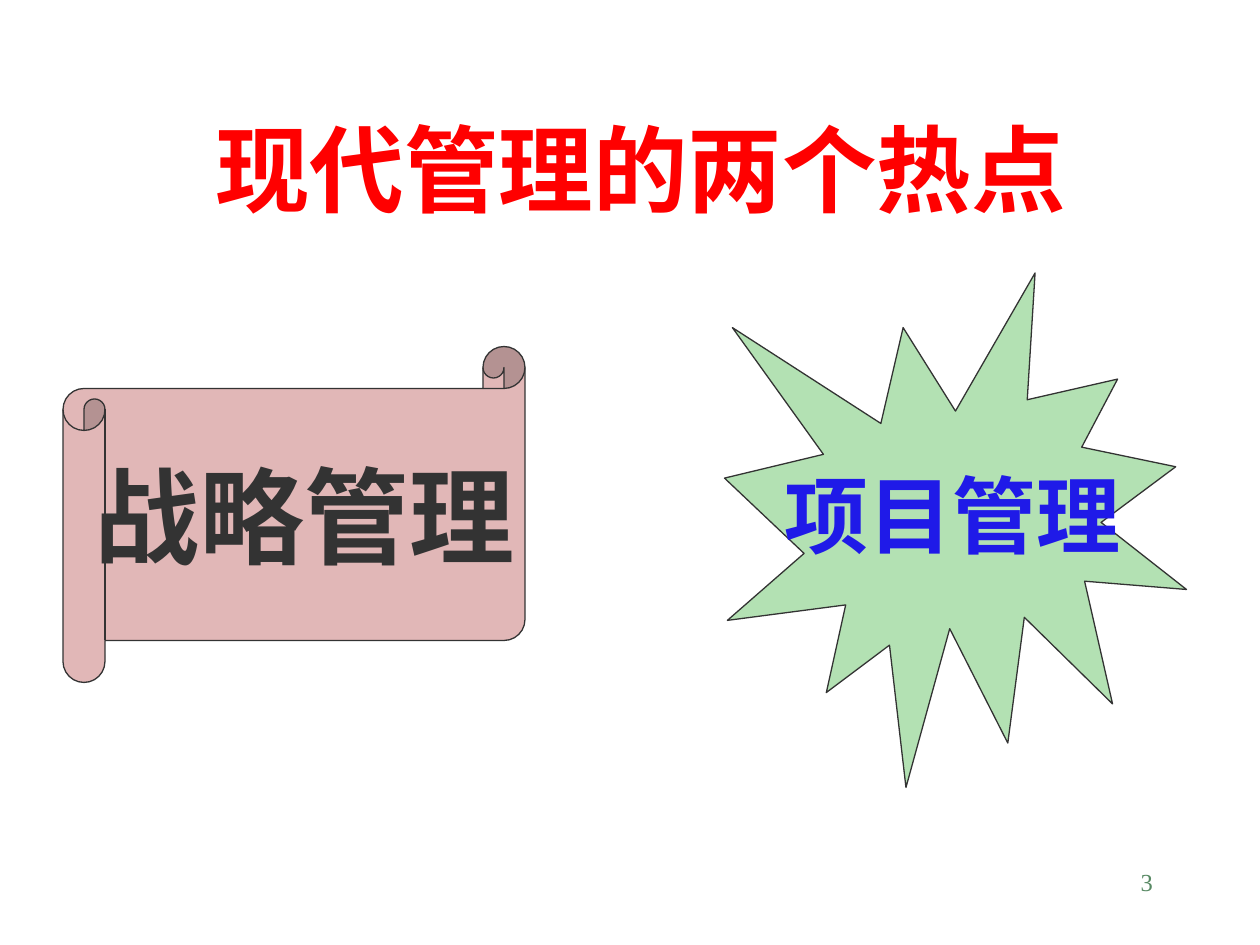
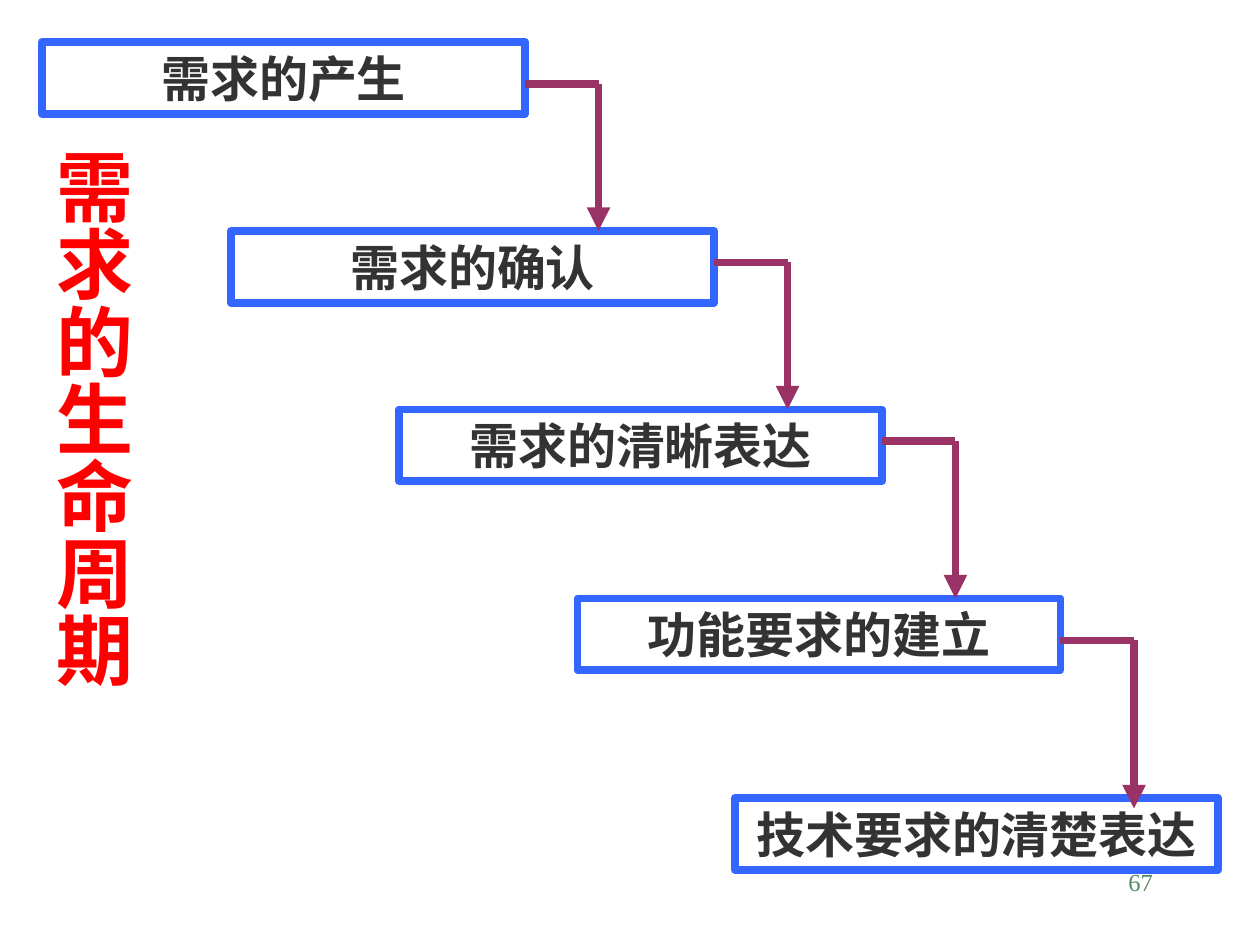
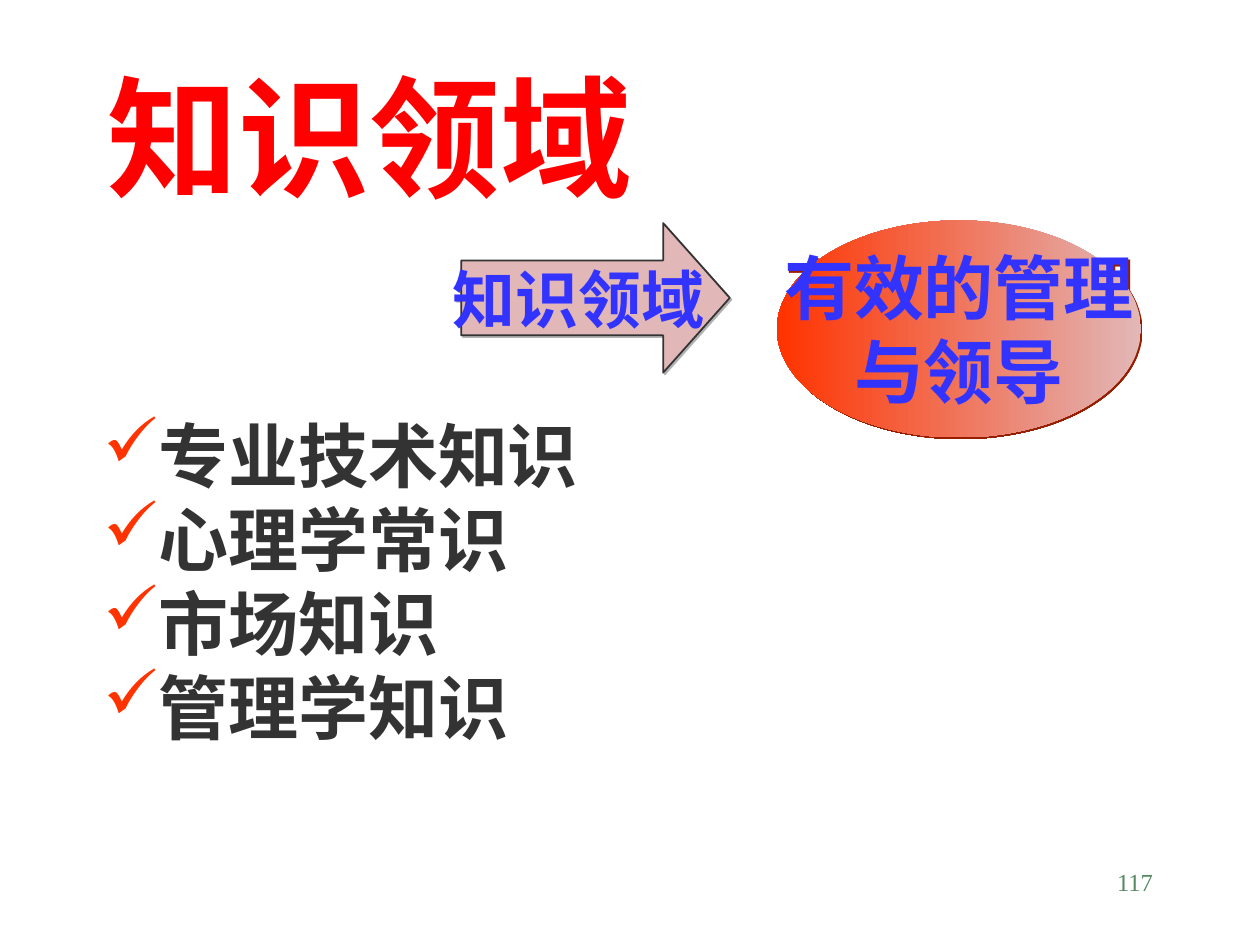
from dataclasses import dataclass

from lxml.etree import SubElement
from pptx import Presentation
from pptx.dml.color import RGBColor
from pptx.enum.shapes import MSO_CONNECTOR, MSO_SHAPE
from pptx.enum.text import MSO_ANCHOR, MSO_AUTO_SIZE, PP_ALIGN
from pptx.oxml.ns import qn
from pptx.util import Pt


@dataclass(frozen=True)
class Theme:
    font: str = "Times New Roman"
    title: str = "FF0000"
    ink: str = "333333"
    page_number: str = "578963"
    rose: str = "E1B7B7"
    mint: str = "B3E1B3"
    project_text: str = "1F1AE8"
    highlight: str = "3333FF"
    step_border: str = "3366FF"
    step_arrow: str = "993366"
    check: str = "FF3300"
    arrow_shadow: str = "B2B2B2"
    goal_shadow: str = "981E00"
    title_size: int = 54
    vertical_title_size: int = 44
    large_title_size: int = 75
    strategy_size: int = 60
    project_size: int = 48
    list_size: int = 40
    arrow_size: int = 36
    step_size: int = 28
    page_size: int = 14


theme = Theme()


def write(shape, text, size, color, align=PP_ALIGN.CENTER, anchor=MSO_ANCHOR.MIDDLE,
          wrap=True, bold=True):
    frame = shape.text_frame
    frame.text = text
    frame.word_wrap = wrap
    frame.auto_size = MSO_AUTO_SIZE.NONE
    frame.vertical_anchor = anchor
    for paragraph in frame.paragraphs:
        paragraph.alignment = align
        for run in paragraph.runs:
            run.font.name = theme.font
            run.font.size = Pt(size)
            run.font.bold = bold
            run.font.color.rgb = RGBColor.from_string(color)


def cast_shadow(shape, color):
    shape.shadow.inherit = False
    effects = shape._element.spPr.find(qn("a:effectLst"))
    shadow = SubElement(effects, qn("a:outerShdw"), blurRad="0", dist=str(Pt(1.4)),
                        dir="2700000", algn="ctr", rotWithShape="0")
    SubElement(shadow, qn("a:srgbClr"), val=color)


prs = Presentation()
prs.slide_width, prs.slide_height = Pt(720), Pt(540)

# Titles and page numbers
slides = []
for heading, page, size, box, align, anchor in (
    ("现代管理的两个热点", "3", theme.title_size, (60, 66, 612, 66),
     PP_ALIGN.CENTER, MSO_ANCHOR.BOTTOM),
    ("需求的生命周期", "67", theme.vertical_title_size, (16, 78, 67, 394.5),
     PP_ALIGN.CENTER, MSO_ANCHOR.TOP),
    ("知识领域", "117", theme.large_title_size, (54, 36, 612, 90),
     PP_ALIGN.LEFT, MSO_ANCHOR.BOTTOM),
):
    slide = prs.slides.add_slide(prs.slide_layouts[5])
    title = slide.shapes.title
    title.left, title.top, title.width, title.height = map(Pt, box)
    write(title, heading, size, theme.title, align, anchor)
    number = slide.shapes.add_textbox(Pt(516), Pt(492), Pt(150), Pt(36))
    write(number, page, theme.page_size, theme.page_number, PP_ALIGN.RIGHT,
          MSO_ANCHOR.TOP, bold=False)
    slides.append(slide)
hotspots, life_cycle, knowledge = slides

# Slide 1: the two hotspots
for label, preset, box, fill, size, color in (
    ("项目管理", MSO_SHAPE.EXPLOSION1, (414, 156, 264, 294), theme.mint,
     theme.project_size, theme.project_text),
    ("战略管理", MSO_SHAPE.HORIZONTAL_SCROLL, (36, 198, 264, 192), theme.rose,
     theme.strategy_size, theme.ink),
):
    hotspot = hotspots.shapes.add_shape(preset, *map(Pt, box))
    hotspot.shadow.inherit = False
    hotspot.fill.solid()
    hotspot.fill.fore_color.rgb = RGBColor.from_string(fill)
    hotspot.line.color.rgb = RGBColor.from_string(theme.ink)
    hotspot.line.width = Pt(0.75)
    write(hotspot, label, size, color, wrap=False)

# Slide 2: vertical title beside the steps
vertical_title = life_cycle.shapes.title.text_frame
vertical_title._txBody.bodyPr.set("vert", "eaVert")
vertical_title.margin_left = vertical_title.margin_right = Pt(3.6)
vertical_title.margin_top = vertical_title.margin_bottom = Pt(7.2)

# Slide 2: staircase of steps
step_width, step_height, arrow_reach = 276, 41, 42
steps = (
    ("需求的产生", 24, 24),
    ("需求的确认", 132, 132),
    ("需求的清晰表达", 228, 234),
    ("功能要求的建立", 330, 342),
    ("技术要求的清楚表达", 420, 456),
)
for label, left, top in steps:
    step = life_cycle.shapes.add_shape(
        MSO_SHAPE.RECTANGLE, Pt(left), Pt(top), Pt(step_width), Pt(step_height))
    step.shadow.inherit = False
    step.fill.background()
    step.line.color.rgb = RGBColor.from_string(theme.step_border)
    step.line.width = Pt(4.5)
    write(step, label, theme.step_size, theme.ink, anchor=MSO_ANCHOR.TOP)

# Slide 2: arrows, each running right and then down to the next step
for (label, left, top), exit_y, arrival_y in zip(
        steps, (48, 150, 252, 366), (132, 234, 342, 462)):
    edge = left + step_width
    turn = edge + arrow_reach
    for ends in ((edge, exit_y, turn, exit_y), (turn, exit_y, turn, arrival_y)):
        segment = life_cycle.shapes.add_connector(MSO_CONNECTOR.STRAIGHT, *map(Pt, ends))
        segment.line.color.rgb = RGBColor.from_string(theme.step_arrow)
        segment.line.width = Pt(4.5)
        SubElement(segment._element.spPr, qn("a:effectLst"))
    SubElement(segment.line._get_or_add_ln(), qn("a:tailEnd"), type="triangle")

# Slide 3: arrow to the goal
field_arrow = knowledge.shapes.add_shape(
    MSO_SHAPE.RIGHT_ARROW, Pt(263.5), Pt(127.5), Pt(153.5), Pt(85.5))
field_arrow.adjustments[1] = 0.445
field_arrow.fill.solid()
field_arrow.fill.fore_color.rgb = RGBColor.from_string(theme.rose)
field_arrow.line.color.rgb = RGBColor.from_string(theme.ink)
field_arrow.line.width = Pt(1)
cast_shadow(field_arrow, theme.arrow_shadow)
write(field_arrow, "知识领域", theme.arrow_size, theme.highlight, wrap=False)

goal = knowledge.shapes.add_shape(MSO_SHAPE.OVAL, Pt(444), Pt(126), Pt(208), Pt(124))
goal.fill.gradient()
goal.fill.gradient_angle = 180
for stop, color in zip(goal.fill.gradient_stops, (theme.rose, theme.check)):
    stop.color.rgb = RGBColor.from_string(color)
goal.line.fill.background()
cast_shadow(goal, theme.goal_shadow)
write(goal, "有效的管理\n与领导", theme.list_size, theme.highlight, wrap=False)

# Slide 3: checklist of knowledge
checklist = knowledge.shapes.add_textbox(Pt(52), Pt(232), Pt(410), Pt(199.5))
write(checklist, "专业技术知识\n心理学常识\n市场知识\n管理学知识", theme.list_size, theme.ink,
      PP_ALIGN.LEFT, MSO_ANCHOR.TOP)
for item in checklist.text_frame.paragraphs:
    properties = item._p.get_or_add_pPr()
    bullet_color = SubElement(properties, qn("a:buClr"))
    SubElement(bullet_color, qn("a:srgbClr"), val=theme.check)
    SubElement(properties, qn("a:buChar"), char="✓")

prs.save("out.pptx")
